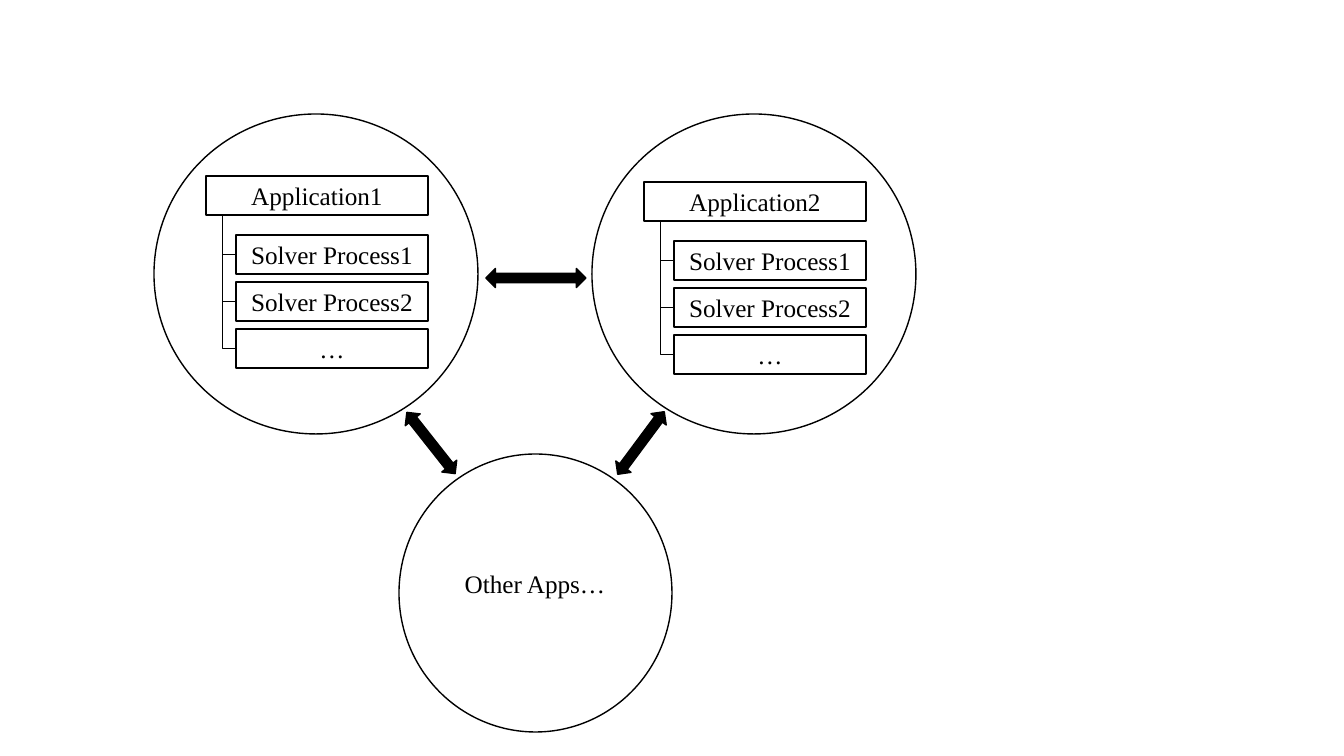
from pptx import Presentation
from pptx.dml.color import RGBColor
from pptx.enum.shapes import MSO_CONNECTOR as Connector, MSO_SHAPE as Shape
from pptx.enum.text import MSO_ANCHOR as Anchor, PP_ALIGN as Align
from pptx.oxml.ns import qn
from pptx.oxml.xmlchemy import OxmlElement
from pptx.util import Pt

EMU_PER_PX = 914400 / 100.8
BLACK = RGBColor(0, 0, 0)
WHITE = RGBColor(255, 255, 255)
FONT = "Times New Roman"
BOX_HEIGHT = 39
PROCESSES = ["Solver Process1", "Solver Process2", "…"]


def px(length):
    return round(length * EMU_PER_PX)


def add_figure(slide, kind, box, fill=WHITE, line=BLACK, rotation=0):
    shape = slide.shapes.add_shape(kind, *map(px, box))
    shape.shadow.inherit = False
    shape.fill.solid()
    shape.fill.fore_color.rgb = fill
    shape.line.color.rgb = line
    shape.line.width = Pt(1)
    shape.rotation = rotation
    return shape


def write_text(shape, text, size=18, color=BLACK, align=Align.CENTER):
    frame = shape.text_frame
    frame.word_wrap = True
    frame.vertical_anchor = Anchor.MIDDLE
    paragraph = frame.paragraphs[0]
    paragraph.alignment = align
    run = paragraph.add_run()
    run.text = text
    run.font.name = FONT
    run.font.size = Pt(size)
    run.font.color.rgb = color


def add_label(slide, text, box, line=BLACK):
    write_text(add_figure(slide, Shape.RECTANGLE, box, line=line), text)


def add_branch(slide, left, top, right, bottom):
    connector = slide.shapes.add_connector(Connector.ELBOW, *map(px, (left, top, right, bottom)))
    connector.line.color.rgb = BLACK
    connector.line.width = Pt(0.5)
    properties = connector.element.spPr
    properties.find(qn("a:xfrm")).set("rot", "10800000")
    properties.find(qn("a:prstGeom")).set("prst", "bentConnector2")
    properties.append(OxmlElement("a:effectLst"))


def add_application(slide, name, circle, tree_left, tree_top):
    add_figure(slide, Shape.OVAL, circle)
    add_label(slide, name, (tree_left, tree_top, 222, BOX_HEIGHT))
    process_left = tree_left + 30
    for index, process in enumerate(PROCESSES):
        top = tree_top + 59 + 47 * index
        add_label(slide, process, (process_left, top, 192, BOX_HEIGHT))
        add_branch(slide, tree_left + 16, tree_top + BOX_HEIGHT,
                   process_left, top + BOX_HEIGHT / 2)


def add_other_apps(slide, left, top, width, height):
    add_figure(slide, Shape.OVAL, (left, top, width, height))
    add_label(slide, "Other Apps…", (left + 25, top + 110, 222, BOX_HEIGHT), line=WHITE)


def add_exchange(slide, center_x, center_y, length, rotation):
    width = 19
    box = (center_x - width / 2, center_y - length / 2, width, length)
    add_figure(slide, Shape.UP_DOWN_ARROW, box, fill=BLACK, rotation=rotation)


def main():
    presentation = Presentation()
    presentation.slide_width = px(1344)
    presentation.slide_height = px(756)
    slide = presentation.slides.add_slide(presentation.slide_layouts[6])
    add_other_apps(slide, 399, 454, 273, 278)
    add_application(slide, "Application1", (154, 114, 324, 320), 206, 176)
    add_application(slide, "Application2", (592, 114, 324, 320), 644, 182)
    add_exchange(slide, 431, 443, 78, 321.7)
    add_exchange(slide, 536, 278, 100, 270)
    add_exchange(slide, 641, 443, 78, 36.6)
    presentation.save("out.pptx")


if __name__ == "__main__":
    main()
